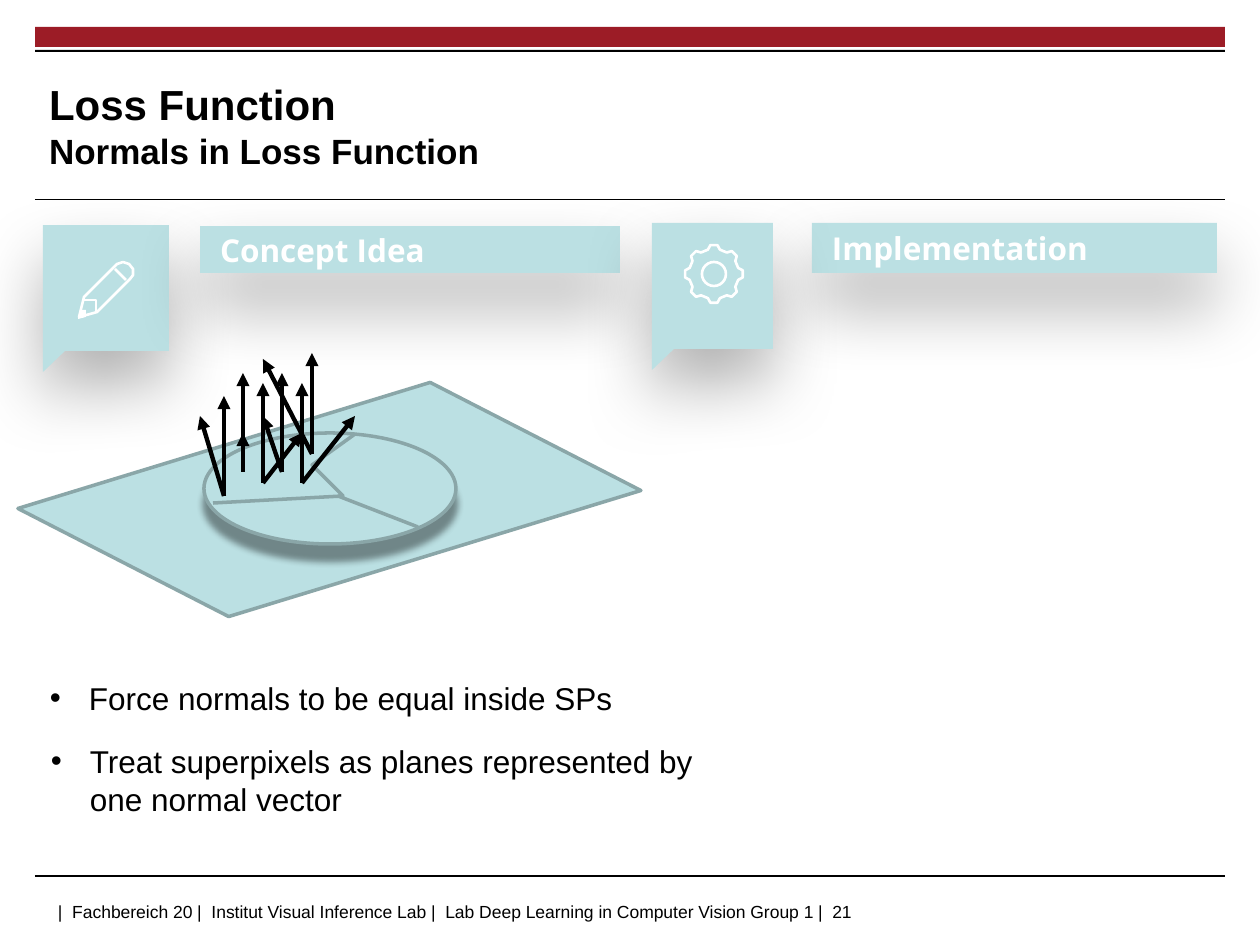
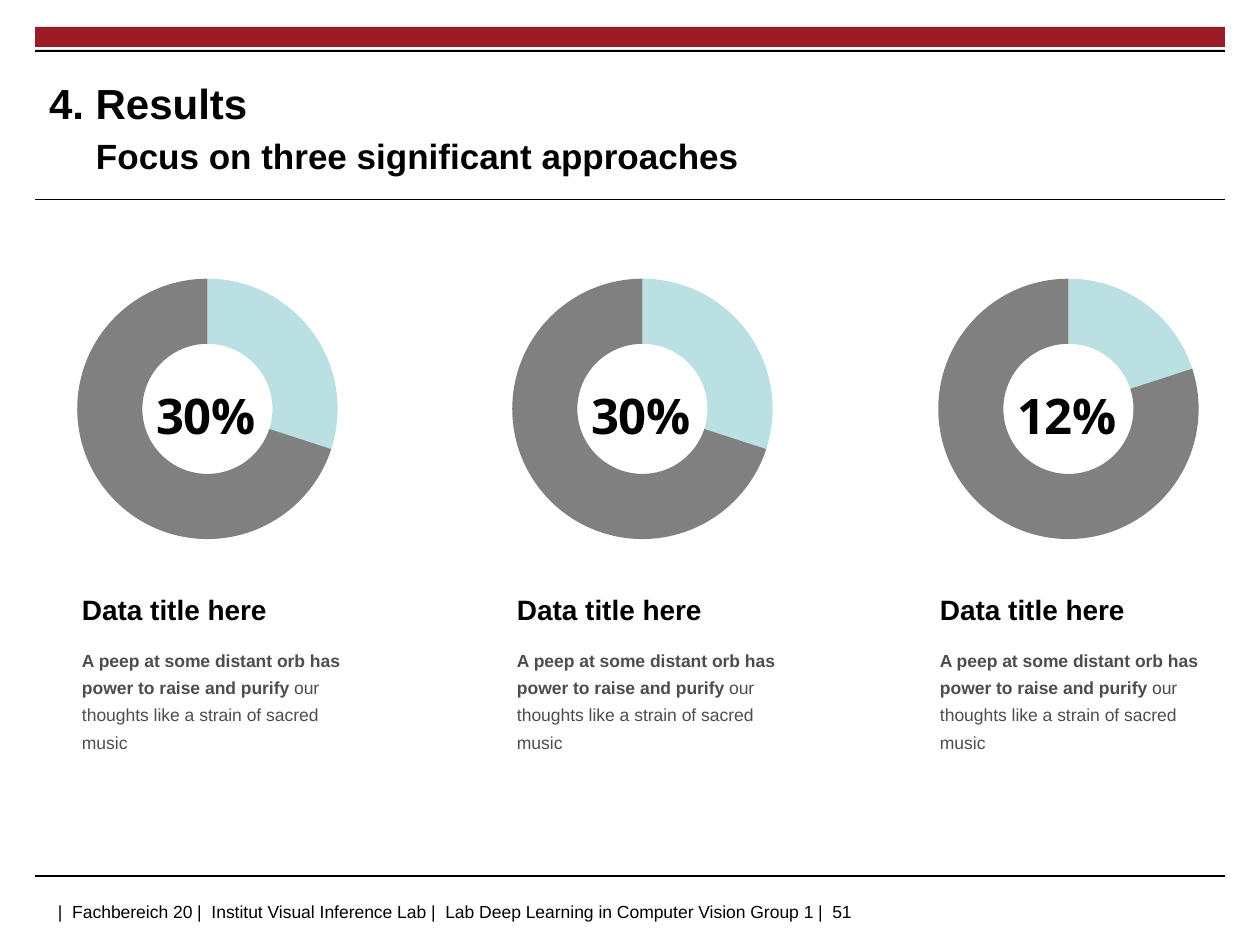
from math import cos, sin, radians
from lxml.etree import SubElement
from pptx import Presentation
from pptx.chart.data import CategoryChartData
from pptx.dml.color import RGBColor
from pptx.enum.chart import XL_CHART_TYPE
from pptx.enum.shapes import MSO_CONNECTOR, MSO_SHAPE
from pptx.enum.text import MSO_ANCHOR, PP_ALIGN
from pptx.oxml import parse_xml
from pptx.oxml.ns import nsdecls, qn
from pptx.util import Pt

# Content
FOOT = ["Fachbereich 20 ", "Institut Visual Inference Lab ",
        "Lab Deep Learning in Computer Vision Group 1 "]
LOSS = dict(head="Loss Function", sub="Normals in Loss Function", num="21", top=67)
RES = dict(head="4. Results", sub="Focus on three significant approaches",
           num="51", top=69, dent=47, gap=4)
BARS = [("Concept Idea", (200, 226, 420, 47)),
        ("Implementation", (812, 223, 405, 50))]
NOTES = [("Force normals to be equal inside SPs", (37, 673, 593, 50), False),
         ("Treat superpixels as planes represented by one normal vector",
          (38, 736, 668, 89), True)]
# Foot of each pair of normals, then the tips
NORMS = {(243, 472): [(243, 433), (243, 373)],
         (282, 472): [(263, 416), (282, 373)],
         (312, 454): [(263, 359), (312, 353)],
         (302, 483): [(355, 416), (302, 383)],
         (224, 496): [(200, 416), (224, 396)],
         (263, 483): [(302, 433), (263, 383)]}
# Chart left, text left, label, values
DATA = [(20, 82, "30%", (30, 70)), (455, 517, "30%", (30, 70)),
        (881, 940, "12%", (20, 80))]
TITLE = "Data title here"
BOLD = "A peep at some distant orb has power to raise and purify "
REST = "our thoughts like a strain of sacred music"

# Shared look
HUE = dict(red="9C1C26", ink="000000", aqua="BBE0E3", edge="8AA6A8",
           white="FFFFFF", grey="808080", soft="4D4D4D")
HEAD = dict(name="Arial", size=Pt(24), bold=True)
SUB = dict(HEAD, size=Pt(20))
BODY = dict(name="Arial", size=Pt(18), bold=False)
SMALL = dict(BODY, size=Pt(10))
BAR = dict(name="Open Sans", size=Pt(18), bold=True)
RATE = dict(BAR, size=Pt(28))
DEEP = (30, 40, 20)   # alpha %, blur pt, distance pt
NEAR = (40, 4, 9)
S = 914400 / 126


def px(*vals):
    return [round(v * S) for v in vals]


def rgb(hue):
    return RGBColor.from_string(HUE[hue])


def style(font, form, hue="ink"):
    for key, val in form.items():
        setattr(font, key, val)
    font.color.rgb = rgb(hue)


def add_run(para, text, form, hue="ink"):
    run = para.add_run()
    run.text = text
    style(run.font, form, hue)
    return run


def set_frame(frame, inset, wrap=True, mid=False):
    frame.word_wrap = wrap
    sides = ("left", "top", "right", "bottom")
    for side, val in zip(sides, px(*inset)):
        setattr(frame, "margin_" + side, val)
    frame.vertical_anchor = MSO_ANCHOR.MIDDLE if mid else MSO_ANCHOR.TOP
    return frame.paragraphs[0]


def add_box(slide, box, inset=(13, 6, 13, 6), **opts):
    frame = slide.shapes.add_textbox(*px(*box)).text_frame
    return frame, set_frame(frame, inset, **opts)


def paint(shape, fill=None, line=None, width=2, shade=None):
    shape.shadow.inherit = False
    if fill:
        shape.fill.solid()
        shape.fill.fore_color.rgb = rgb(fill)
    else:
        shape.fill.background()
    if line:
        shape.line.color.rgb = rgb(line)
        shape.line.width = Pt(width)
    else:
        shape.line.fill.background()
    if shade:
        alpha, blur, dist = shade
        fx = shape._element.spPr.find(qn("a:effectLst"))
        fx.append(parse_xml(
            f'<a:outerShdw {nsdecls("a")} blurRad="{Pt(blur)}" dist="{Pt(dist)}" '
            f'dir="5400000" algn="ctr" rotWithShape="0"><a:srgbClr val="{HUE["ink"]}">'
            f'<a:alpha val="{alpha * 1000}"/></a:srgbClr></a:outerShdw>'))
    return shape


def add_form(slide, kind, box, **look):
    return paint(slide.shapes.add_shape(kind, *px(*box)), **look)


def add_path(slide, dots, close=True, **look):
    dots = [px(*dot) for dot in dots]
    pen = slide.shapes.build_freeform(*dots[0])
    pen.add_line_segments(dots[1:], close=close)
    return paint(pen.convert_to_shape(), **look)


def add_line(slide, start, end, hue="ink", width=0.6, arrow=False):
    line = slide.shapes.add_connector(MSO_CONNECTOR.STRAIGHT, *px(*start, *end))
    line.line.color.rgb = rgb(hue)
    line.line.width = Pt(width)
    if arrow:
        SubElement(line.line._get_or_add_ln(), qn("a:tailEnd"), type="triangle")
    SubElement(line._element.spPr, qn("a:effectLst"))


def add_page(deck, head, sub, num, top, dent=0, gap=0):
    slide = deck.slides.add_slide(deck.slide_layouts[6])
    # Bands and rules
    add_form(slide, MSO_SHAPE.RECTANGLE, (35, 27, 1190, 20), fill="red")
    add_form(slide, MSO_SHAPE.RECTANGLE, (35, 50, 1190, 2), fill="ink")
    for y in (200, 876):
        add_line(slide, (35, y), (1225, y))
    # Footer
    para = add_box(slide, (35, 895, 993, 32), (23, 6, 13, 6))[1]
    for part in FOOT + [num]:
        bar = add_run(para, "| ", SMALL)
        bar._r.get_or_add_rPr().set("spc", "140")
        add_run(para, part, SMALL)
    # Title
    frame, para = add_box(slide, (49, top, 915, 116), (0, 0, 0, 0), mid=True)
    add_run(para, head, HEAD)
    para = frame.add_paragraph()
    para.space_before = Pt(gap)
    para._p.get_or_add_pPr().set("marL", str(px(dent)[0]))
    add_run(para, sub, SUB)
    return slide


def add_badge(slide, x, y, wide):
    low = y + 126
    add_path(slide, [(x, y), (x + wide, y), (x + wide, low), (x + 22, low),
                     (x, low + 21)], fill="aqua", shade=DEEP)


def add_pen(slide):
    look = dict(line="white", width=1.5)
    add_path(slide, [(79, 317), (84, 297), (117, 264), (123, 262), (129, 264),
                     (133, 269), (133, 275), (130, 279), (97, 312)], **look)
    add_path(slide, [(84, 300), (96, 300), (96, 312)], close=False, **look)
    add_line(slide, (115, 269), (126, 280), "white", 1.5)
    add_path(slide, [(78, 319), (80, 310), (86, 310), (86, 317)], fill="white")


def add_gear(slide, x, y):
    tooth = [(-14, 25), (-7, 29), (7, 29), (14, 25)]
    dots = [(x + r * sin(radians(turn + a)), y - r * cos(radians(turn + a)))
            for turn in range(0, 360, 45) for a, r in tooth]
    add_path(slide, dots, line="white", width=1.5)
    add_form(slide, MSO_SHAPE.OVAL, (x - 12, y - 12, 24, 24), line="white", width=1.5)


def add_loss(deck):
    slide = add_page(deck, **LOSS)
    # Plane and superpixel disc
    plane = add_form(slide, MSO_SHAPE.PARALLELOGRAM, (29, 417, 601, 165),
                     fill="aqua", line="edge")
    plane.adjustments[0] = 1.03
    plane.rotation = 343
    plane._element.spPr.find(qn("a:xfrm")).set("flipH", "1")
    add_form(slide, MSO_SHAPE.OVAL, (204, 433, 252, 111),
             fill="aqua", line="edge", shade=NEAR)
    add_path(slide, [(213, 503), (343, 496), (312, 465), (355, 434)],
             close=False, line="edge")
    add_line(slide, (338, 496), (418, 527), "edge", 2)
    # Badges and heading bars
    add_badge(slide, 43, 225, 126)
    add_pen(slide)
    for text, box in BARS:
        bar = add_form(slide, MSO_SHAPE.RECTANGLE, box, fill="aqua", shade=DEEP)
        para = set_frame(bar.text_frame, (20, 6, 13, 6), mid=True)
        para.alignment = PP_ALIGN.LEFT
        add_run(para, text, BAR, "white")
    add_badge(slide, 652, 223, 121)
    add_gear(slide, 714, 274)
    # Bullets
    for text, box, wrap in NOTES:
        para = add_box(slide, box, wrap=wrap)[1]
        prop = para._p.get_or_add_pPr()
        dent = px(39)[0]
        prop.set("marL", str(dent))
        prop.set("indent", str(-dent))
        SubElement(prop, qn("a:buFont"), typeface="Arial")
        SubElement(prop, qn("a:buChar"), char="•")
        add_run(para, text, BODY)
    # Normals
    for foot, tips in NORMS.items():
        for tip in tips:
            add_line(slide, foot, tip, width=2.5, arrow=True)


def add_ring(slide, x, vals):
    data = CategoryChartData()
    data.categories = ["1", "2"]
    data.add_series("Series 1", vals)
    chart = slide.shapes.add_chart(XL_CHART_TYPE.DOUGHNUT,
                                   *px(x, 261, 375, 296), data).chart
    chart.has_legend = chart.has_title = False
    style(chart.font, SMALL)
    plot = chart.plots[0]
    plot.vary_by_categories = True
    for i, hue in enumerate(("aqua", "grey")):
        form = plot.series[0].points[i].format
        form.fill.solid()
        form.fill.fore_color.rgb = rgb(hue)
        form.line.fill.background()
    plot._element.find(qn("c:holeSize")).set("val", "80")
    # Fixed plot area, centred
    area = chart._chartSpace.chart.plotArea
    for old in area.findall(qn("c:layout")):
        area.remove(old)
    lay = SubElement(area, qn("c:layout"))
    area.insert(0, lay)
    man = SubElement(lay, qn("c:manualLayout"))
    for tag, val in (("layoutTarget", "inner"), ("xMode", "edge"), ("yMode", "edge"),
                     ("x", "0.15"), ("y", "0.06"), ("w", "0.7"), ("h", "0.88")):
        SubElement(man, qn("c:" + tag), val=val)


def add_results(deck):
    slide = add_page(deck, **RES)
    for x, left, rate, vals in DATA:
        add_ring(slide, x, vals)
        para = add_box(slide, (x + 106, 369, 160, 72), (13, 0, 13, 6), mid=True)[1]
        para.alignment = PP_ALIGN.CENTER
        para.line_spacing = 1.45
        add_run(para, rate, RATE)
        # Caption
        frame, para = add_box(slide, (left, 577, 299, 181), (0, 5, 30, 5))
        para.line_spacing = 1.3
        add_run(para, TITLE, dict(HEAD, size=Pt(16)))
        para = frame.add_paragraph()
        para.line_spacing = 1.3
        para.space_before = Pt(10)
        add_run(para, BOLD, dict(SMALL, bold=True), "soft")
        add_run(para, REST, SMALL, "soft")


def main():
    deck = Presentation()
    deck.slide_width, deck.slide_height = px(1260, 945)
    add_loss(deck)
    add_results(deck)
    deck.save("out.pptx")


if __name__ == "__main__":
    main()
